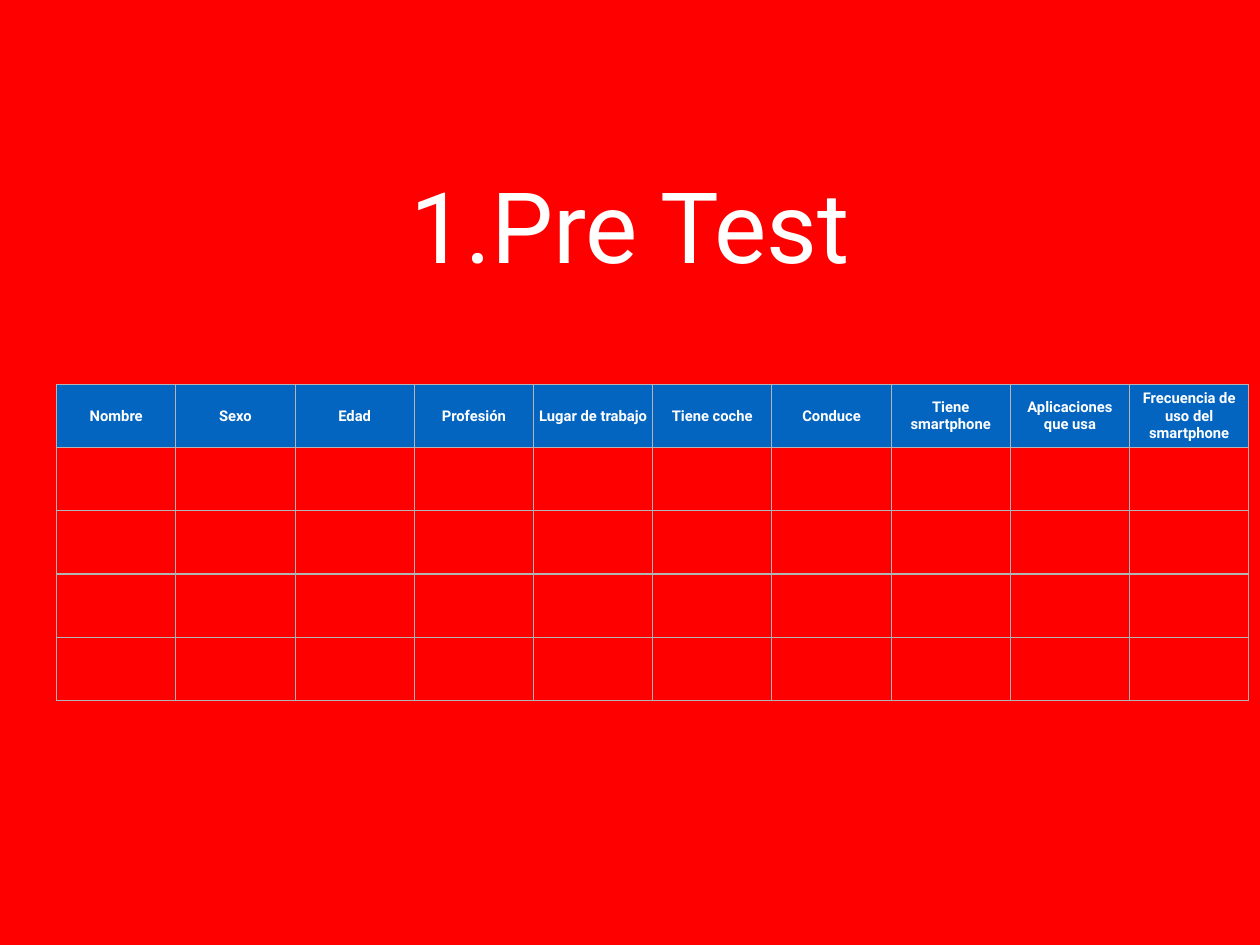
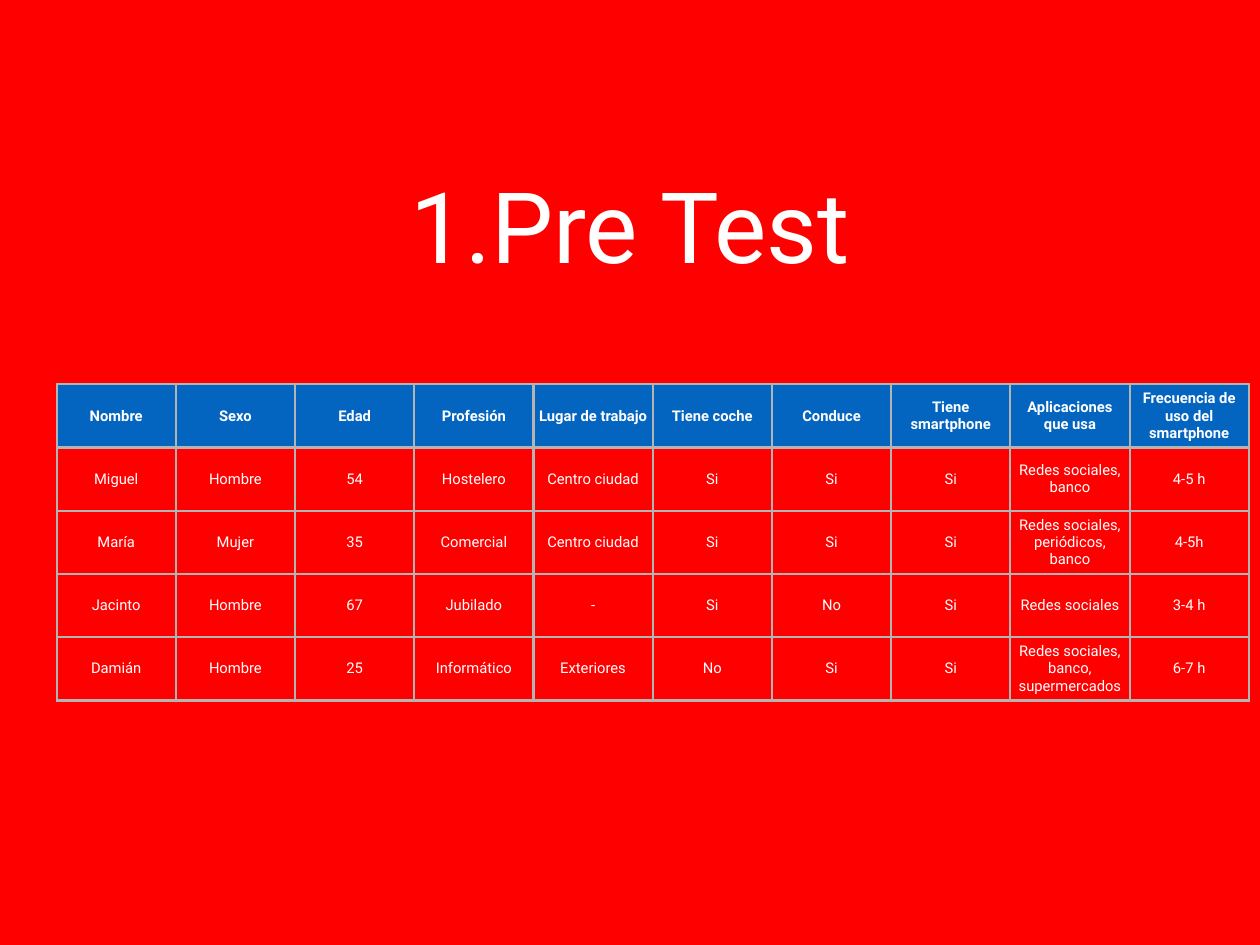
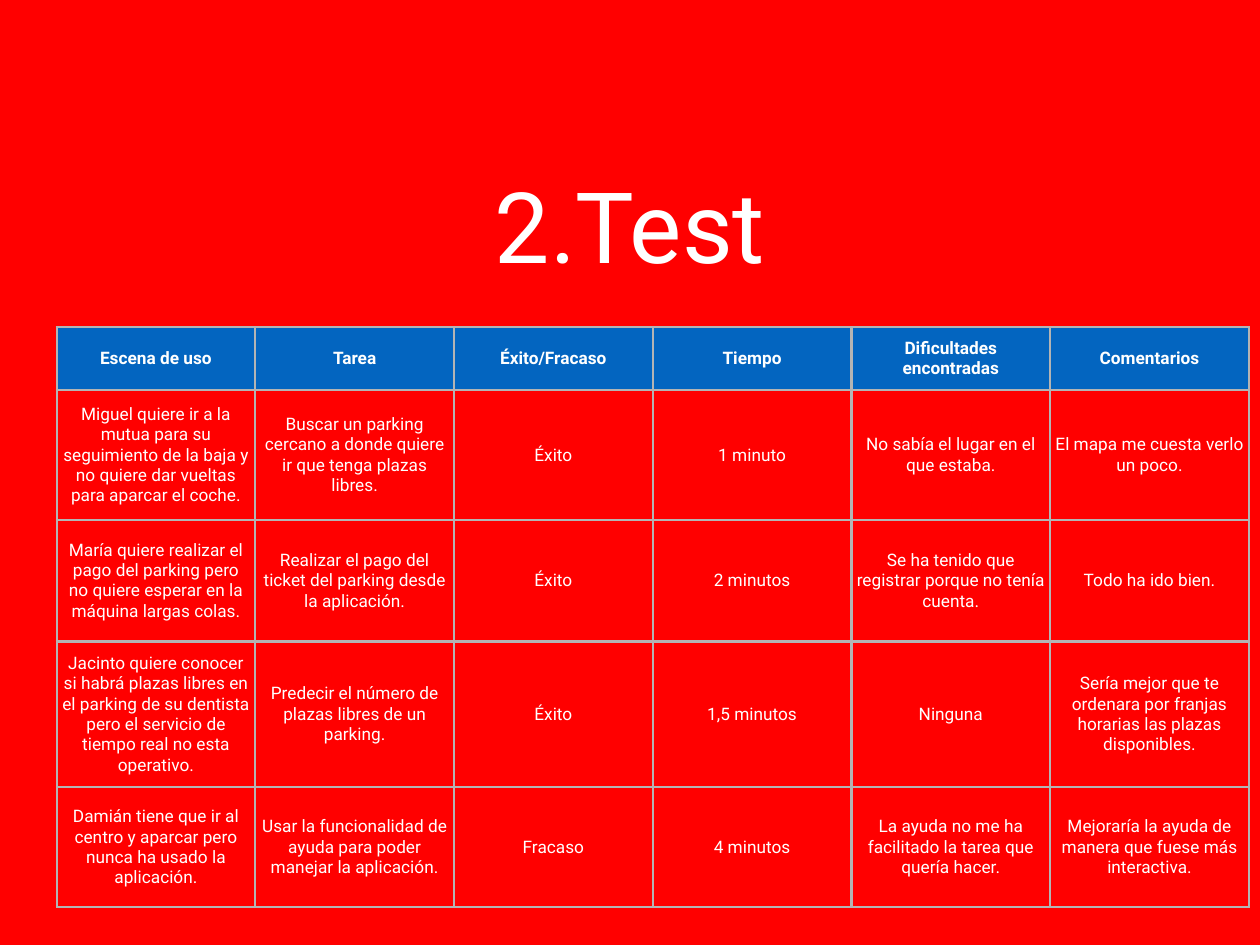
from dataclasses import dataclass

from lxml import etree
from pptx import Presentation
from pptx.dml.color import RGBColor
from pptx.enum.text import MSO_ANCHOR, MSO_AUTO_SIZE, PP_ALIGN
from pptx.oxml.ns import qn
from pptx.util import Pt

CENTER = PP_ALIGN.CENTER
MIDDLE = MSO_ANCHOR.MIDDLE
BOTTOM = MSO_ANCHOR.BOTTOM
NO_FIT = MSO_AUTO_SIZE.NONE
TITLE_ONLY = 5


@dataclass(frozen=True)
class Theme:
    font: str = "Roboto"
    background: str = "FF0000"
    header: str = "0365C0"
    text: str = "FFFFFF"
    border: str = "B4B4B4"
    title_size: int = 80
    profile_size: int = 12
    task_size: int = 14
    inset: int = 4


THEME = Theme()
SLIDE_W, SLIDE_H = 1024, 768
TITLE_BOX = (100, 129, 824, 105)
TABLE_LEFT, TABLE_W = 46, 969
ROW_H = 51.4

PROFILE_HEADER = (
    "Nombre", "Sexo", "Edad", "Profesión", "Lugar de trabajo", "Tiene coche",
    "Conduce", "Tiene smartphone", "Aplicaciones que usa",
    "Frecuencia de uso del smartphone",
)
PROFILES = [
    ("Miguel", "Hombre", "54", "Hostelero", "Centro ciudad", "Si", "Si", "Si",
     "Redes sociales, banco", "4-5 h"),
    ("María", "Mujer", "35", "Comercial", "Centro ciudad", "Si", "Si", "Si",
     "Redes sociales, periódicos, banco", "4-5h"),
    ("Jacinto", "Hombre", "67", "Jubilado", "-", "Si", "No", "Si",
     "Redes sociales", "3-4 h"),
    ("Damián", "Hombre", "25", "Informático", "Exteriores", "No", "Si", "Si",
     "Redes sociales, banco, supermercados", "6-7 h"),
]
BLANK_PROFILES = [("",) * len(PROFILE_HEADER)] * len(PROFILES)

TASK_HEADER = (
    "Escena de uso", "Tarea", "Éxito/Fracaso", "Tiempo",
    "Dificultades encontradas", "Comentarios",
)
TASKS = [
    ("Miguel quiere ir a la mutua para su seguimiento de la baja y no quiere "
     "dar vueltas para aparcar el coche.",
     "Buscar un parking cercano a donde quiere ir que tenga plazas libres.",
     "Éxito", "1 minuto", "No sabía el lugar en el que estaba.",
     "El mapa me cuesta verlo un poco."),
    ("María quiere realizar el pago del parking pero no quiere esperar en la "
     "máquina largas colas.",
     "Realizar el pago del ticket del parking desde la aplicación.",
     "Éxito", "2 minutos",
     "Se ha tenido que registrar porque no tenía cuenta.",
     "Todo ha ido bien."),
    ("Jacinto quiere conocer si habrá plazas libres en el parking de su "
     "dentista pero el servicio de tiempo real no esta operativo.",
     "Predecir el número de plazas libres de un parking.",
     "Éxito", "1,5 minutos", "Ninguna",
     "Sería mejor que te ordenara por franjas horarias las plazas "
     "disponibles."),
    ("Damián tiene que ir al centro y aparcar pero nunca ha usado la "
     "aplicación.",
     "Usar la funcionalidad de ayuda para poder manejar la aplicación.",
     "Fracaso", "4 minutos",
     "La ayuda no me ha facilitado la tarea que quería hacer.",
     "Mejoraría la ayuda de manera que fuese más interactiva."),
]

PROFILE_LAYOUT = dict(top=312.3, heights=[ROW_H] * 5, size=THEME.profile_size)
TASK_LAYOUT = dict(top=265.8, heights=[ROW_H, 105.6, 98.6, 118.5, 97.5],
                   size=THEME.task_size)
SLIDES = [
    ("1.Pre Test", [PROFILE_HEADER, *BLANK_PROFILES],
     dict(PROFILE_LAYOUT, border=1)),
    ("1.Pre Test", [PROFILE_HEADER, *PROFILES],
     dict(PROFILE_LAYOUT, border=2)),
    ("2.Test", [TASK_HEADER, *TASKS], dict(TASK_LAYOUT, border=2)),
]


def write(tf, text, size, bold=False):
    p = tf.paragraphs[0]
    p.alignment = CENTER
    if not text:
        p.font.size = Pt(size)
        return
    r = p.add_run()
    r.text = text
    r.font.name = THEME.font
    r.font.size = Pt(size)
    r.font.bold = bold
    r.font.color.rgb = RGBColor.from_string(THEME.text)


def set_insets(target):
    for side in ("left", "top", "right", "bottom"):
        setattr(target, f"margin_{side}", Pt(THEME.inset))


def set_borders(cell, width):
    tc_pr = cell._tc.get_or_add_tcPr()
    for side in ("lnL", "lnR", "lnT", "lnB"):
        ln = etree.SubElement(tc_pr, qn(f"a:{side}"), w=str(Pt(width)))
        fill = etree.SubElement(ln, qn("a:solidFill"))
        etree.SubElement(fill, qn("a:srgbClr"), val=THEME.border)


def add_title(slide, text):
    sp = slide.shapes.title
    sp.left, sp.top, sp.width, sp.height = map(Pt, TITLE_BOX)
    tf = sp.text_frame
    tf.auto_size = NO_FIT
    tf.word_wrap = True
    tf.vertical_anchor = BOTTOM
    set_insets(tf)
    write(tf, text, THEME.title_size)


def add_grid(slide, rows, top, heights, size, border):
    n_cols = len(rows[0])
    table = slide.shapes.add_table(
        len(rows), n_cols, Pt(TABLE_LEFT), Pt(top), Pt(TABLE_W),
        Pt(sum(heights))).table
    table.first_row = table.horz_banding = False
    for col in table.columns:
        col.width = Pt(TABLE_W / n_cols)
    for i, (values, height) in enumerate(zip(rows, heights)):
        table.rows[i].height = Pt(height)
        for j, text in enumerate(values):
            cell = table.cell(i, j)
            cell.vertical_anchor = MIDDLE
            set_insets(cell)
            set_borders(cell, border)
            if i == 0:
                cell.fill.solid()
                cell.fill.fore_color.rgb = RGBColor.from_string(THEME.header)
            else:
                cell.fill.background()
            write(cell.text_frame, text, size, bold=i == 0)


def main():
    prs = Presentation()
    prs.slide_width, prs.slide_height = Pt(SLIDE_W), Pt(SLIDE_H)
    fill = prs.slide_master.background.fill
    fill.solid()
    fill.fore_color.rgb = RGBColor.from_string(THEME.background)
    for title, rows, layout in SLIDES:
        slide = prs.slides.add_slide(prs.slide_layouts[TITLE_ONLY])
        add_title(slide, title)
        add_grid(slide, rows, **layout)
    prs.save("out.pptx")


if __name__ == "__main__":
    main()
